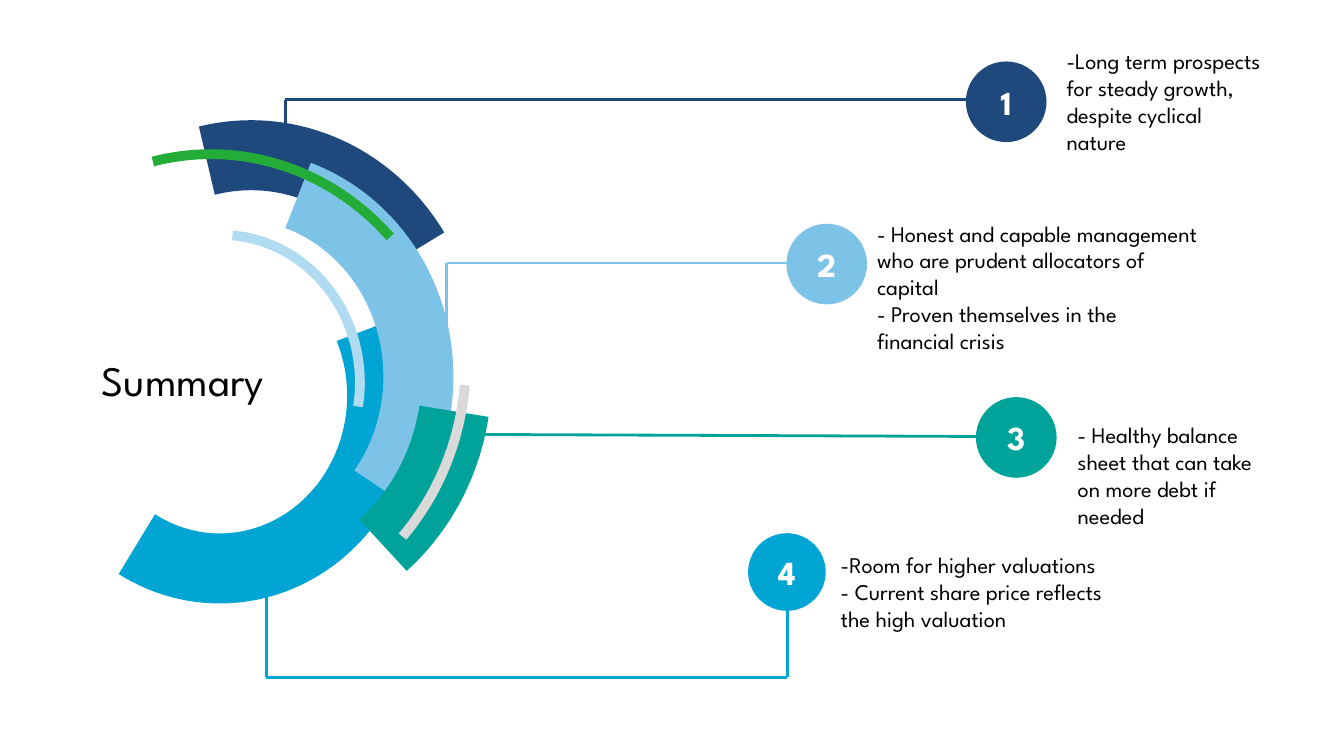
"""Build a summary slide with layered arcs and four numbered callouts."""
from dataclasses import dataclass
from itertools import pairwise

from lxml.etree import SubElement
from pptx import Presentation
from pptx.dml.color import RGBColor
from pptx.enum.shapes import MSO_CONNECTOR as Link, MSO_SHAPE as Shape
from pptx.enum.text import MSO_ANCHOR as Anchor, MSO_AUTO_SIZE as Fit, PP_ALIGN as Align
from pptx.oxml.ns import qn
from pptx.util import Emu, Pt

PX = 9144


@dataclass(frozen=True)
class Theme:
    font: str = "League Spartan"
    black: str = "000000"
    white: str = "FFFFFF"
    navy: str = "1F497D"
    sky: str = "7DC3E7"
    teal: str = "00A39A"
    blue: str = "00A5D3"
    green: str = "23AC38"
    grey: str = "D9D9D9"
    pale: str = "B1DBF1"
    title: int = 30
    number: int = 24
    body: int = 16
    band: int = 50
    stripe: int = 7
    rule: int = 2


THEME = Theme()


@dataclass(frozen=True)
class Box:
    left: int
    top: int
    width: int
    height: int

    def emu(self) -> tuple:
        return tuple(Emu(px * PX) for px in (self.left, self.top, self.width, self.height))


@dataclass(frozen=True)
class Arc:
    box: Box
    start: float
    end: float
    color: str
    weight: int


@dataclass(frozen=True)
class Callout:
    number: str
    color: str
    circle: Box
    route: tuple
    note: Box
    lines: tuple


ARCS = (
    Arc(Box(57, 221, 322, 343), 335.87, 119.17, THEME.blue, THEME.band),
    Arc(Box(57, 154, 384, 409), 257.6, 325.86, THEME.navy, THEME.band),
    Arc(Box(57, 183, 358, 381), 288.39, 37.94, THEME.sky, THEME.band),
    Arc(Box(40, 153, 413, 440), 9.76, 51.53, THEME.teal, THEME.band),
    Arc(Box(-35, 153, 488, 519), 257.19, 315.09, THEME.green, THEME.stripe),
    Arc(Box(-26, 99, 488, 519), 5.55, 43.81, THEME.grey, THEME.stripe),
    Arc(Box(81, 233, 276, 293), 274.55, 9.94, THEME.pale, THEME.stripe),
)

CALLOUTS = (
    Callout("1", THEME.navy, Box(958, 61, 80, 80),
            ((283, 143), (283, 99), (965, 99)), Box(1048, 42, 213, 145),
            ("-Long term prospects for steady growth, despite cyclical nature",)),
    Callout("2", THEME.sky, Box(780, 222, 80, 80),
            ((443, 329), (443, 261), (791, 261)), Box(860, 213, 338, 145),
            ("- Honest and capable management who are prudent allocators of capital",
             "- Proven themselves in the financial crisis")),
    Callout("3", THEME.teal, Box(968, 394, 80, 80),
            ((470, 431), (969, 433)), Box(1059, 413, 213, 145),
            ("- Healthy balance sheet that can take on more debt if needed",)),
    Callout("4", THEME.blue, Box(742, 529, 77, 77),
            ((264, 565), (264, 672), (781, 672), (781, 529)), Box(824, 542, 312, 145),
            ("-Room for higher valuations",
             "- Current share price reflects the high valuation")),
)


def write(shape, lines: tuple, *, size: int, color: str = THEME.black, bold: bool = False,
          align: Align = Align.LEFT, anchor: Anchor = Anchor.TOP, fit: Fit = Fit.NONE) -> None:
    """Fill a shape with formatted paragraphs."""
    frame = shape.text_frame
    frame.word_wrap = True
    frame.auto_size = fit
    frame.vertical_anchor = anchor
    for index, line in enumerate(lines):
        para = frame.add_paragraph() if index else frame.paragraphs[0]
        para.alignment = align
        span = para.add_run()
        span.text = line
        span.font.name = THEME.font
        span.font.size = Pt(size)
        span.font.bold = bold
        span.font.color.rgb = RGBColor.from_string(color)


def draw_title(page, text: str, box: Box) -> None:
    """Place the slide title."""
    title = page.shapes.title
    title.left, title.top, title.width, title.height = box.emu()
    write(title, (text,), size=THEME.title, align=Align.CENTER, fit=Fit.SHAPE_TO_FIT_TEXT)


def draw_arc(page, arc: Arc) -> None:
    """Draw one arc between two clockwise angles in degrees."""
    shape = page.shapes.add_shape(Shape.ARC, *arc.box.emu())
    shape.shadow.inherit = False
    shape.adjustments[0] = arc.start * 0.6
    shape.adjustments[1] = arc.end * 0.6
    shape.fill.background()
    shape.line.color.rgb = RGBColor.from_string(arc.color)
    shape.line.width = Pt(arc.weight)


def draw_route(page, route: tuple, color: str) -> None:
    """Join the points of a route with straight connectors."""
    for start, end in pairwise(route):
        ends = (Emu(px * PX) for px in (*start, *end))
        line = page.shapes.add_connector(Link.STRAIGHT, *ends)
        line.line.color.rgb = RGBColor.from_string(color)
        line.line.width = Pt(THEME.rule)
        SubElement(line._element.spPr, qn("a:effectLst"))


def draw_callout(page, callout: Callout) -> None:
    """Draw a numbered circle with its leader and note."""
    draw_route(page, callout.route, callout.color)
    circle = page.shapes.add_shape(Shape.OVAL, *callout.circle.emu())
    circle.shadow.inherit = False
    circle.fill.solid()
    circle.fill.fore_color.rgb = RGBColor.from_string(callout.color)
    circle.line.fill.background()
    write(circle, (callout.number,), size=THEME.number, color=THEME.white, bold=True,
          align=Align.CENTER, anchor=Anchor.MIDDLE)
    note = page.shapes.add_textbox(*callout.note.emu())
    write(note, callout.lines, size=THEME.body, fit=Fit.SHAPE_TO_FIT_TEXT)


def main() -> None:
    """Assemble and save the deck."""
    deck = Presentation()
    deck.slide_width, deck.slide_height = Emu(1333 * PX), Emu(750 * PX)
    page = deck.slides.add_slide(deck.slide_layouts[5])
    draw_title(page, "Summary", Box(15, 347, 333, 61))
    for arc in ARCS:
        draw_arc(page, arc)
    for callout in CALLOUTS:
        draw_callout(page, callout)
    deck.save("out.pptx")


if __name__ == "__main__":
    main()
